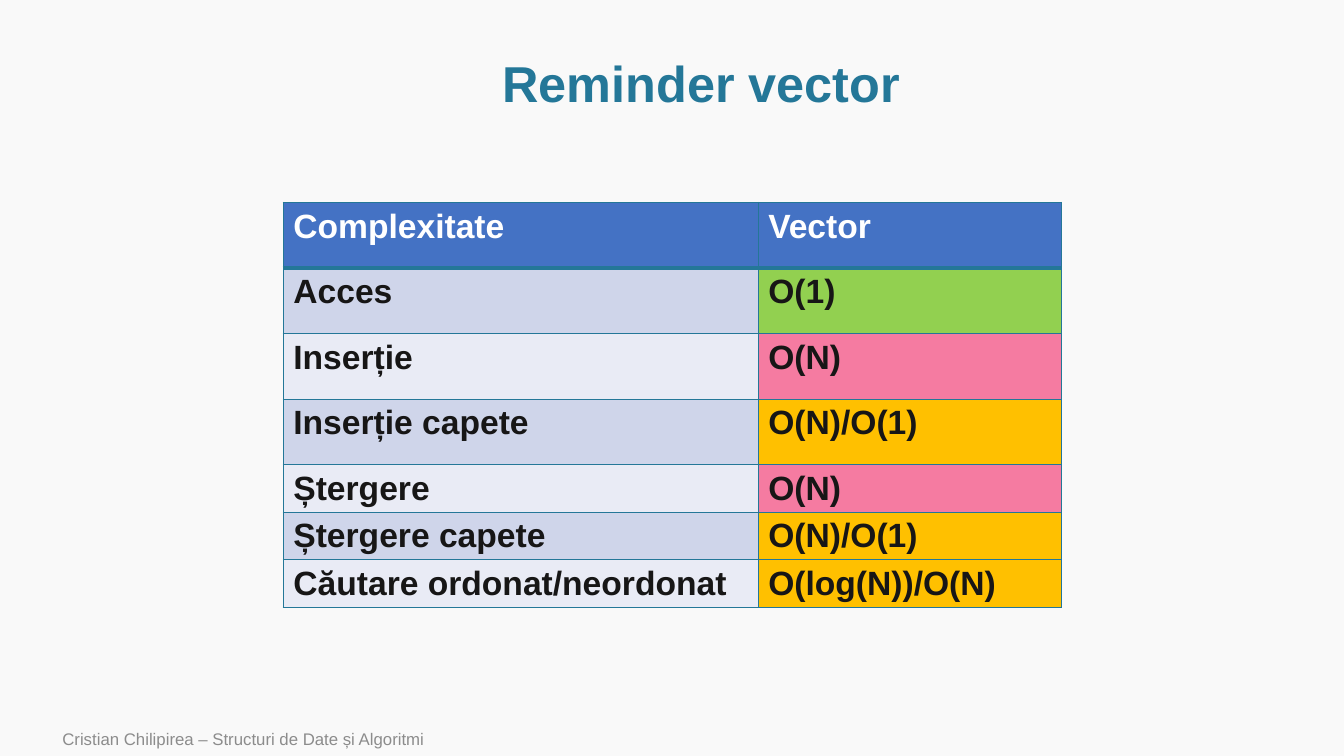
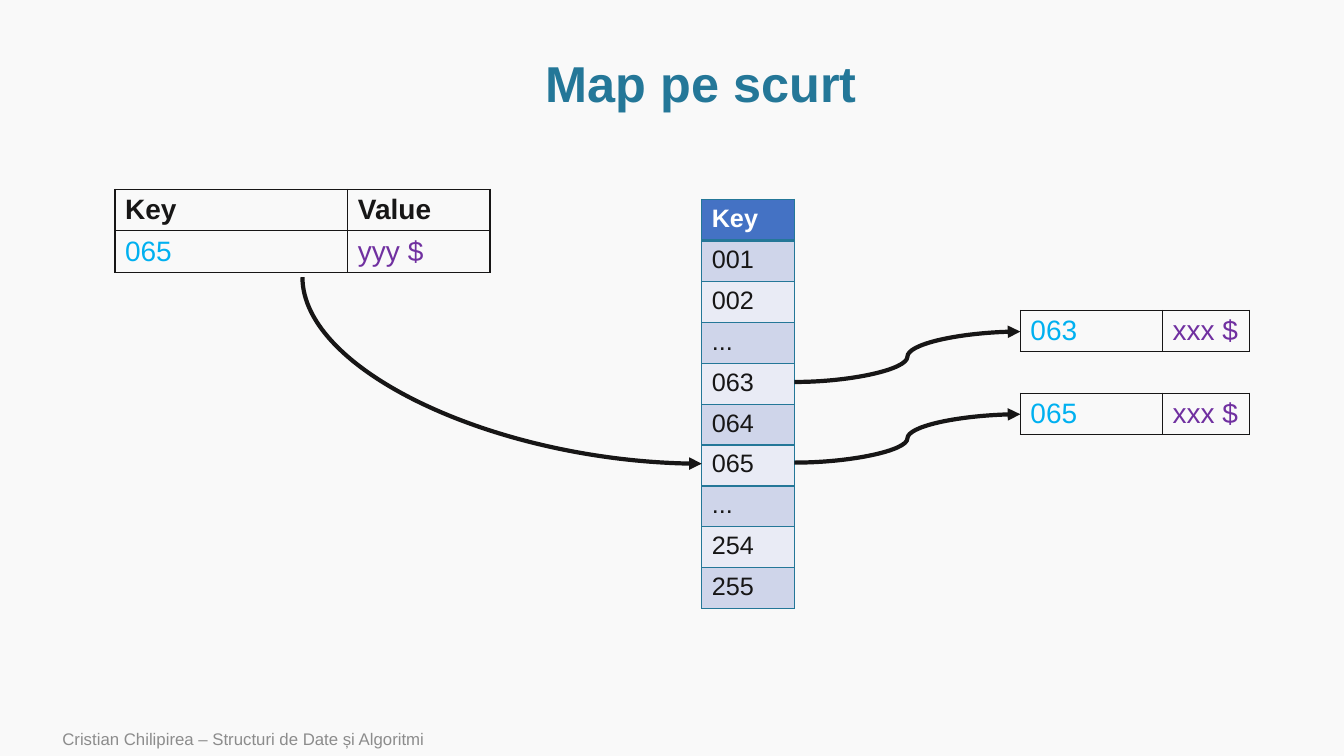
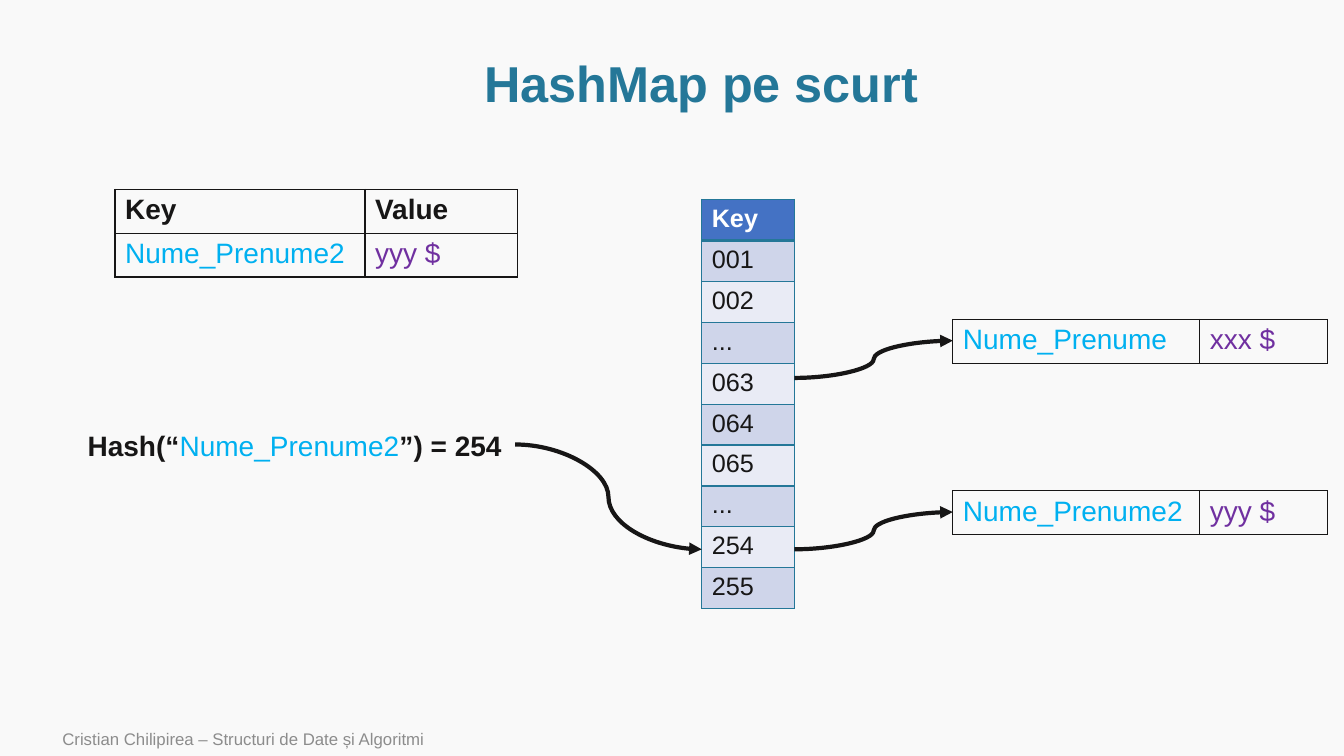
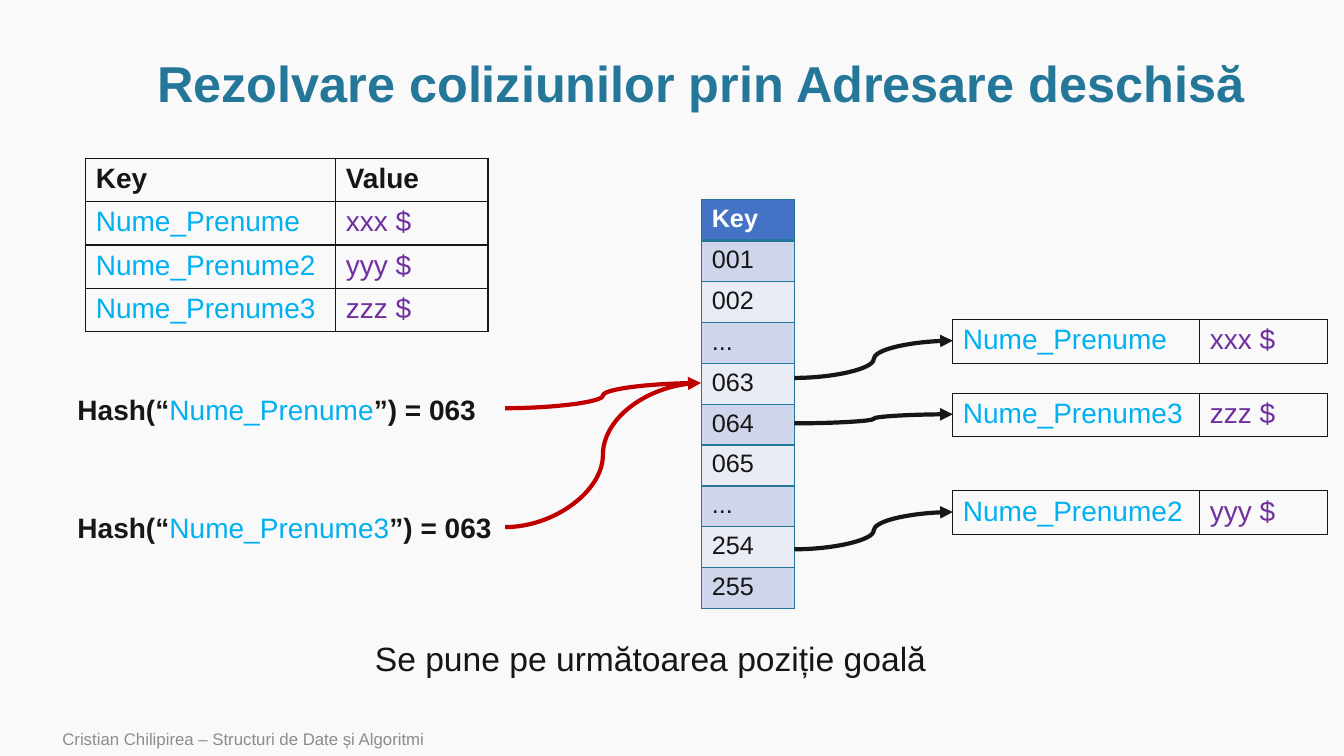
from dataclasses import dataclass
from lxml.etree import SubElement
from pptx import Presentation
from pptx.dml.color import RGBColor
from pptx.enum.shapes import MSO_CONNECTOR
from pptx.enum.text import MSO_ANCHOR, MSO_AUTO_SIZE, PP_ALIGN
from pptx.oxml.ns import qn
from pptx.util import Inches, Pt

COLORS = {
    "background": "F9F9F9", "title": "247798", "footer": "8C8C8C",
    "ink": "171616", "white": "FFFFFF", "key": "00B0F0", "value": "7030A0",
    "header": "4472C4", "dark_band": "CFD5EA", "light_band": "E9EBF5",
    "good": "92D050", "bad": "F57BA1", "mixed": "FFC000", "collision": "C00000",
}
FONT = "Arial"
FOOTER = "Cristian Chilipirea – Structuri de Date și Algoritmi"
COMPLEXITIES = [
    ("Acces", "O(1)", "good"),
    ("Inserție", "O(N)", "bad"),
    ("Inserție capete", "O(N)/O(1)", "mixed"),
    ("Ștergere", "O(N)", "bad"),
    ("Ștergere capete", "O(N)/O(1)", "mixed"),
    ("Căutare ordonat/neordonat", "O(log(N))/O(N)", "mixed"),
]
BUCKETS = ["001", "002", "...", "063", "064", "065", "...", "254", "255"]
BUCKET_LEFT, BUCKET_RIGHT = 6.96, 7.88
RECORD_LEFT = 9.45
RECORD_WIDTHS = [2.45, 1.27]
PAIR_WIDTHS = [2.48, 1.51]
PAIR_HEIGHT = 0.43


@dataclass
class Entry:
    text: str
    color: str = "ink"
    bold: bool = False
    fill: str = ""


def rgb(name):
    return RGBColor.from_string(COLORS[name])


def style_font(font, size, color, bold=False):
    font.name = FONT
    font.size = Pt(size)
    font.bold = bold
    font.color.rgb = rgb(color)


def add_text(page, left, top, width, height, pieces, size, wrap=False):
    box = page.shapes.add_textbox(Inches(left), Inches(top), Inches(width), Inches(height))
    frame = box.text_frame
    frame.word_wrap = wrap
    frame.auto_size = MSO_AUTO_SIZE.NONE if wrap else MSO_AUTO_SIZE.SHAPE_TO_FIT_TEXT
    for text, color, bold in pieces:
        span = frame.paragraphs[0].add_run()
        span.text = text
        style_font(span.font, size, color, bold)
    return box


def add_page(deck, title):
    page = deck.slides.add_slide(deck.slide_layouts.get_by_name("Title Only"))
    footer = add_text(page, 0.52, 7.16, 8.4, 0.34, [(FOOTER, "footer", False)], 12, wrap=True)
    footer.text_frame.vertical_anchor = MSO_ANCHOR.MIDDLE
    heading = page.shapes.title
    heading.left, heading.top = Inches(1.14), Inches(0.51)
    heading.width, heading.height = Inches(11.63), Inches(0.69)
    frame = heading.text_frame
    frame.text = title
    frame.auto_size = MSO_AUTO_SIZE.NONE
    frame.vertical_anchor = MSO_ANCHOR.MIDDLE
    para = frame.paragraphs[0]
    para.alignment = PP_ALIGN.CENTER
    para.line_spacing = 0.9
    style_font(para.runs[0].font, 36, "title", True)
    return page


def set_border(cell, side, color, points):
    line = SubElement(cell._tc.get_or_add_tcPr(), qn(f"a:ln{side}"), w=str(Pt(points)))
    fill = SubElement(line, qn("a:solidFill"))
    SubElement(fill, qn("a:srgbClr"), val=COLORS[color])


def add_grid(page, left, top, widths, heights, rows, size, border, header_rule=1):
    shape = page.shapes.add_table(
        len(rows), len(widths), Inches(left), Inches(top),
        Inches(sum(widths)), Inches(sum(heights)))
    table = shape.table
    table.first_row = table.horz_banding = False
    for column, width in zip(table.columns, widths):
        column.width = Inches(width)
    for index, (row, height, entries) in enumerate(zip(table.rows, heights, rows)):
        row.height = Inches(height)
        rules = {"L": 1, "R": 1,
                 "T": header_rule if index == 1 else 1,
                 "B": header_rule if index == 0 else 1}
        for cell, entry in zip(row.cells, entries):
            for side, points in rules.items():
                set_border(cell, side, border, points)
            if entry.fill:
                cell.fill.solid()
                cell.fill.fore_color.rgb = rgb(entry.fill)
            else:
                cell.fill.background()
            cell.text_frame.text = entry.text
            style_font(cell.text_frame.paragraphs[0].runs[0].font, size, entry.color, entry.bold)


def header_entry(text):
    return Entry(text, "white", True, "header")


def band(index):
    return "light_band" if index % 2 else "dark_band"


def add_buckets(page):
    rows = [[header_entry("Key")]]
    rows += [[Entry(text, fill=band(index))] for index, text in enumerate(BUCKETS)]
    add_grid(page, BUCKET_LEFT, 1.98, [BUCKET_RIGHT - BUCKET_LEFT],
             [4.06 / len(rows)] * len(rows), rows, 18, "title", header_rule=3)


def add_pairs(page, left, top, pairs, widths, height=PAIR_HEIGHT, header=False):
    rows = [[Entry("Key", bold=True), Entry("Value", bold=True)]] if header else []
    rows += [[Entry(key, "key"), Entry(value, "value")] for key, value in pairs]
    add_grid(page, left, top, widths, [height] * len(rows), rows, 20, "ink")


def add_hash(page, left, top, key, code):
    pieces = [("Hash(“", "ink", True), (key, "key", False), (f"”) = {code}", "ink", True)]
    add_text(page, left, top, 4.34, 0.44, pieces, 20)


def add_curve(page, start, end, color="ink"):
    curve = page.shapes.add_connector(MSO_CONNECTOR.CURVE, *map(Inches, start + end))
    curve.line.color.rgb = rgb(color)
    curve.line.width = Pt(3)
    SubElement(curve.line._get_or_add_ln(), qn("a:tailEnd"), type="triangle")
    SubElement(curve._element.spPr, qn("a:effectLst"))
    return curve


def add_quarter_curve(page, start, end):
    curve = add_curve(page, start, end)
    width, height = end[0] - start[0], end[1] - start[1]
    curve.left = Inches((start[0] + end[0] - height) / 2)
    curve.top = Inches((start[1] + end[1] - width) / 2)
    curve.width, curve.height = Inches(height), Inches(width)
    properties = curve._element.spPr
    properties.find(qn("a:prstGeom")).set("prst", "curvedConnector2")
    frame = properties.find(qn("a:xfrm"))
    frame.set("rot", "16200000")
    frame.set("flipH", "1")


def add_record(page, key, value, top, bucket_y):
    add_pairs(page, RECORD_LEFT, top, [(key, value)], RECORD_WIDTHS)
    add_curve(page, (BUCKET_RIGHT, bucket_y), (RECORD_LEFT, top + 0.21))


def add_hash_records(page):
    add_record(page, "Nume_Prenume", "xxx $", 3.17, 3.75)
    add_record(page, "Nume_Prenume2", "yyy $", 4.87, 5.45)


def build_vector(deck):
    page = add_page(deck, "Reminder vector")
    rows = [[header_entry("Complexitate"), header_entry("Vector")]]
    for index, (operation, cost, rating) in enumerate(COMPLEXITIES):
        rows.append([Entry(operation, bold=True, fill=band(index)),
                     Entry(cost, bold=True, fill=rating)])
    add_grid(page, 2.81, 2.01, [4.71, 3.01], [0.65] * 4 + [0.47] * 3, rows, 24,
             "title", header_rule=3)


def build_map(deck):
    page = add_page(deck, "Map pe scurt")
    add_buckets(page)
    add_pairs(page, 1.14, 1.88, [("065", "yyy $")], [2.31, 1.41], 0.41, header=True)
    add_quarter_curve(page, (3, 2.75), (BUCKET_LEFT, 4.6))
    for key, top, bucket_y in [("063", 3.08, 3.79), ("065", 3.9, 4.59)]:
        add_pairs(page, 10.12, top, [(key, "xxx $")], [1.41, 0.86], 0.41)
        add_curve(page, (BUCKET_RIGHT, bucket_y), (10.12, top + 0.21))


def build_hash_map(deck):
    page = add_page(deck, "HashMap pe scurt")
    add_buckets(page)
    add_hash(page, 0.77, 4.2, "Nume_Prenume2", "254")
    add_curve(page, (5.11, 4.41), (BUCKET_LEFT, 5.45))
    add_pairs(page, 1.14, 1.88, [("Nume_Prenume2", "yyy $")], PAIR_WIDTHS, header=True)
    add_hash_records(page)


def build_open_addressing(deck):
    page = add_page(deck, "Rezolvare coliziunilor prin Adresare deschisă")
    add_buckets(page)
    pairs = [("Nume_Prenume", "xxx $"), ("Nume_Prenume2", "yyy $"), ("Nume_Prenume3", "zzz $")]
    add_pairs(page, 0.85, 1.57, pairs, PAIR_WIDTHS, header=True)
    for key, top in [("Nume_Prenume", 3.84), ("Nume_Prenume3", 5.02)]:
        add_hash(page, 0.67, top, key, "063")
        add_curve(page, (5.01, top + 0.21), (6.95, 3.8), "collision")
    add_hash_records(page)
    add_record(page, "Nume_Prenume3", "zzz $", 3.9, 4.2)
    add_text(page, 3.62, 6.28, 5.73, 0.5,
             [("Se pune pe următoarea poziție goală", "ink", False)], 24)


def main():
    deck = Presentation()
    deck.slide_width, deck.slide_height = Inches(13.33), Inches(7.5)
    background = deck.slide_master.background.fill
    background.solid()
    background.fore_color.rgb = rgb("background")
    build_vector(deck)
    build_map(deck)
    build_hash_map(deck)
    build_open_addressing(deck)
    deck.save("out.pptx")


if __name__ == "__main__":
    main()
